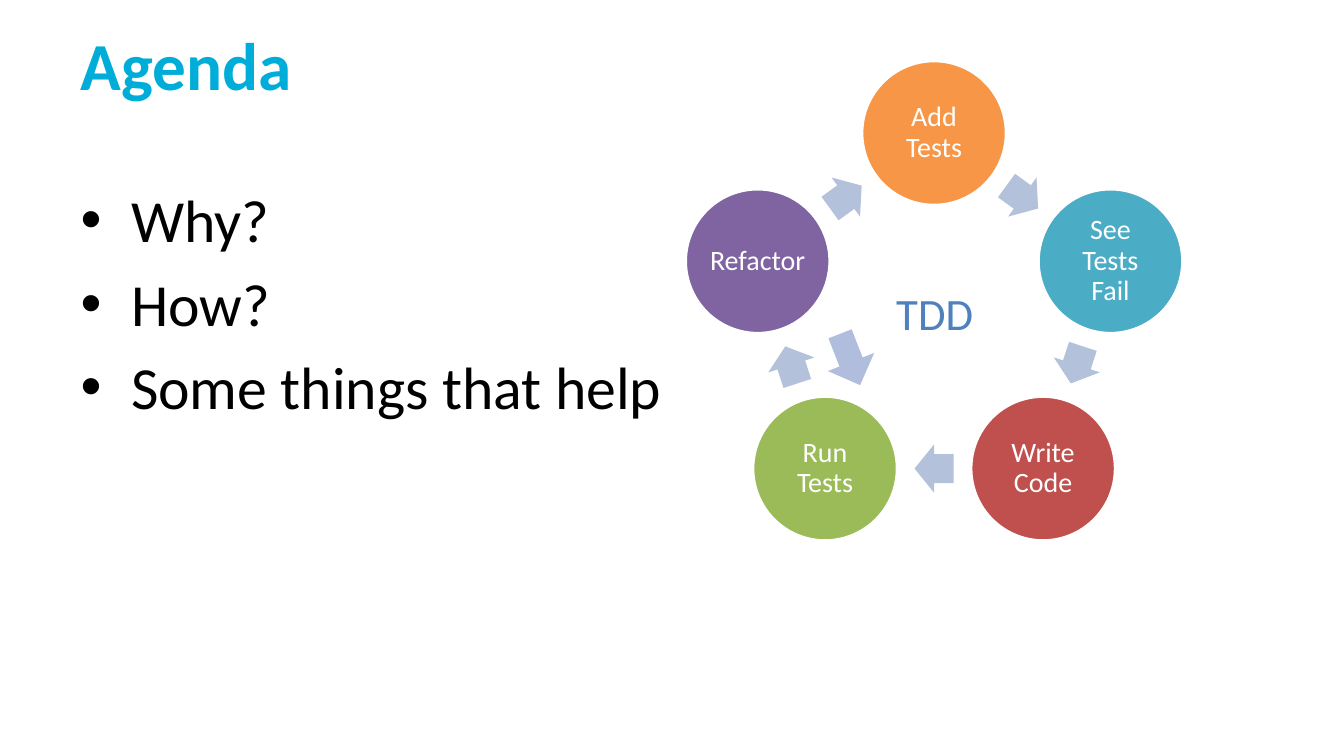
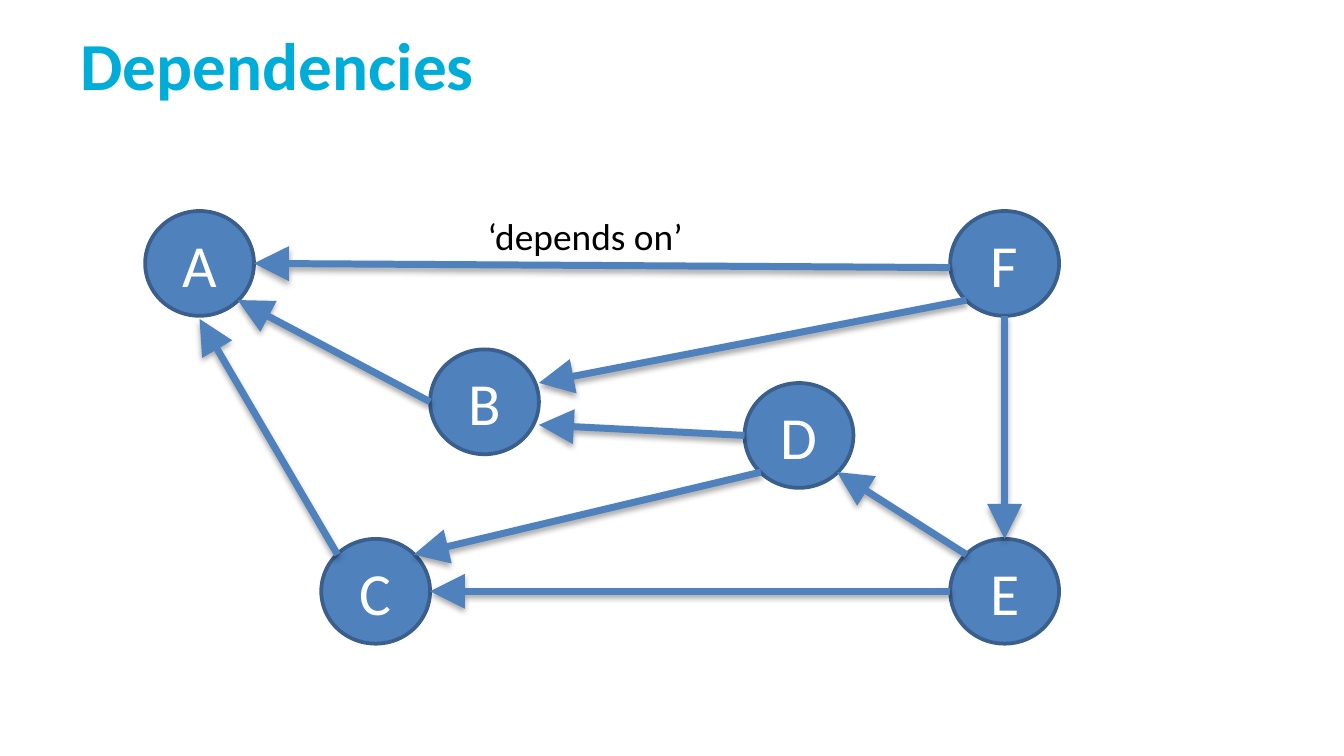
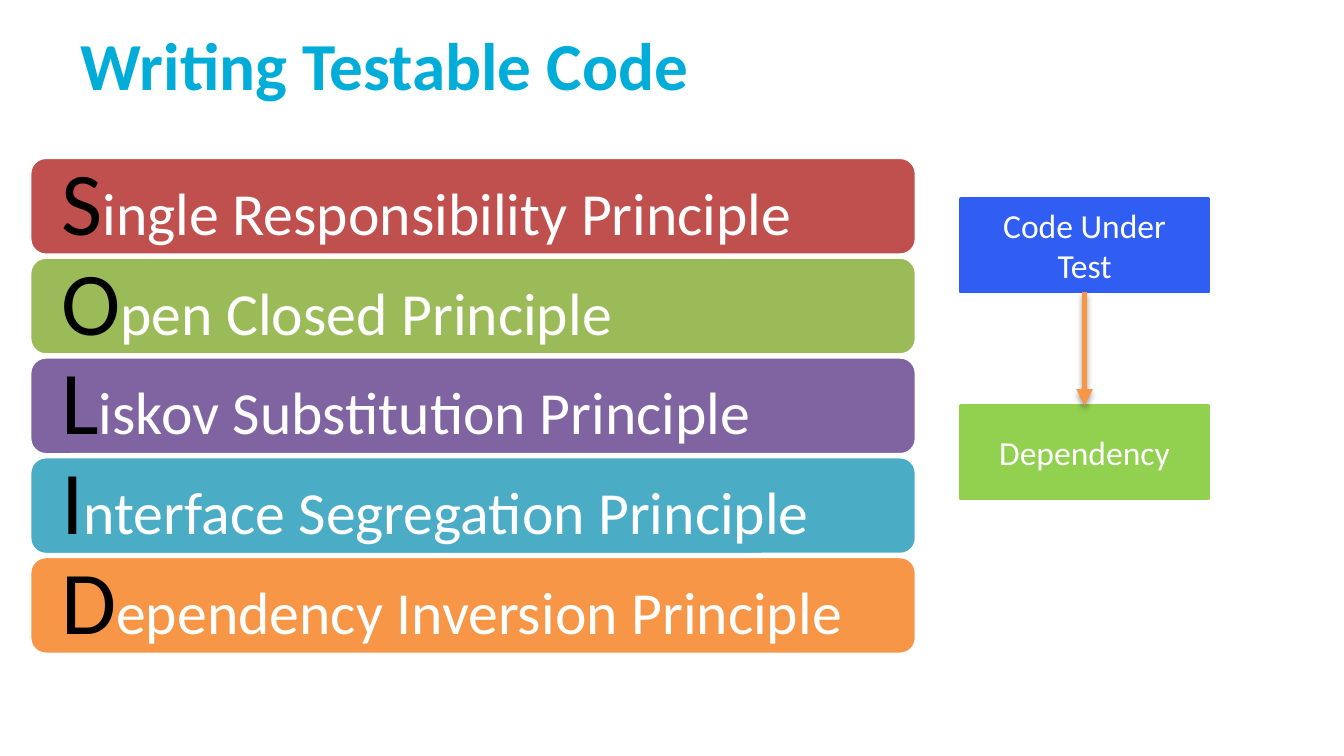
import math

import lxml.etree
import pptx
import pptx.dml.color
import pptx.enum.shapes
import pptx.enum.text
import pptx.oxml
import pptx.oxml.ns
import pptx.util

Inches = pptx.util.Inches
SHAPE = pptx.enum.shapes.MSO_SHAPE
ALIGN = pptx.enum.text.PP_ALIGN
MIDDLE = pptx.enum.text.MSO_ANCHOR.MIDDLE
STRAIGHT = pptx.enum.shapes.MSO_CONNECTOR.STRAIGHT

COLORS = {
    "title": "00ADD8", "black": "000000", "white": "FFFFFF",
    "blue": "4F81BD", "outline": "3A5F8C", "red": "C0504D",
    "green": "9BBB59", "purple": "8064A2", "teal": "4BACC6",
    "orange": "F79646", "cycle arrow": "B3C1DB", "inner arrow": "B0BDDD",
    "code": "305EF3", "dependency": "92D050",
}


def write(para, text, size, color, bold=False):
    """Add one formatted span to a paragraph."""
    span = para.add_run()
    span.text = text
    style = {"name": "Calibri", "size": pptx.util.Pt(size), "bold": bold}
    for name, value in style.items():
        setattr(span.font, name, value)
    span.font.color.rgb = pptx.dml.color.RGBColor.from_string(COLORS[color])


def draw(slide, kind, area, fill, line=None, inset=None):
    """Add a flat filled shape; the area is left, top, width, height."""
    shape = slide.shapes.add_shape(kind, *[Inches(length) for length in area])
    shape.shadow.inherit = False
    shape.fill.solid()
    shape.fill.fore_color.rgb = pptx.dml.color.RGBColor.from_string(COLORS[fill])
    if line:
        shape.line.color.rgb = pptx.dml.color.RGBColor.from_string(COLORS[line])
        shape.line.width = pptx.util.Pt(2)
    else:
        shape.line.fill.background()
    frame = shape.text_frame
    frame.word_wrap = True
    frame.vertical_anchor = MIDDLE
    frame.paragraphs[0].alignment = ALIGN.CENTER
    if inset is not None:
        for side in ("left", "top", "right", "bottom"):
            setattr(frame, "margin_" + side, Inches(inset))
    return shape


# Widescreen deck, 16:9
deck = pptx.Presentation()
deck.slide_width = Inches(10)
deck.slide_height = Inches(10) * 9 // 16

# Slides with their titles
slides = []
for title, layout in [("Agenda", 1), ("Dependencies", 5), ("Writing Testable Code", 5)]:
    slide = deck.slides.add_slide(deck.slide_layouts[layout])
    box = slide.shapes.title
    place = {"left": 0.5, "top": -0.01, "width": 9, "height": 0.97}
    for name, value in place.items():
        setattr(box, name, Inches(value))
    box.text_frame.vertical_anchor = MIDDLE
    para = box.text_frame.paragraphs[0]
    para.alignment = ALIGN.LEFT
    write(para, title, 36, "title", bold=True)
    slides.append(slide)
agenda, dependencies, principles = slides

# Agenda list
body = agenda.placeholders[1]
place = {"left": 0.5, "top": 1.31, "width": 9, "height": 3.71}
for name, value in place.items():
    setattr(body, name, Inches(value))
for index, text in enumerate(["Why?", "How?", "Some things that help"]):
    para = body.text_frame.add_paragraph() if index else body.text_frame.paragraphs[0]
    if index == 0:
        para.space_before = pptx.util.Pt(0)
    write(para, text, 32, "black")

# Test cycle: five steps on a ring, an arrow halfway between neighbours
steps = [("Add Tests", "orange"), ("See Tests Fail", "teal"), ("Write Code", "red"),
         ("Run Tests", "green"), ("Refactor", "purple")]
center_x, center_y, radius = 6.95, 2.37, 1.38
diameter, arrow_width, arrow_height = 1.08, 0.29, 0.36
turn = 360 / len(steps)
for index, (text, color) in enumerate(steps):
    angle = math.radians(index * turn)
    x = center_x + radius * math.sin(angle)
    y = center_y - radius * math.cos(angle)
    area = (x - diameter / 2, y - diameter / 2, diameter, diameter)
    circle = draw(agenda, SHAPE.OVAL, area, color, "white", 0.02)
    para = circle.text_frame.paragraphs[0]
    para.line_spacing = 0.9
    write(para, text, 15, "white")

    angle += math.radians(turn / 2)
    arrow_radius = radius * math.cos(math.radians(turn / 2))
    x = center_x + arrow_radius * math.sin(angle)
    y = center_y - arrow_radius * math.cos(angle)
    area = (x - arrow_width / 2, y - arrow_height / 2, arrow_width, arrow_height)
    arrow = draw(agenda, SHAPE.RIGHT_ARROW, area, "cycle arrow")
    arrow.adjustments[0] = 0.6
    arrow.rotation = (index + 0.5) * turn

arrow = draw(agenda, SHAPE.DOWN_ARROW, (6.14, 2.47, 0.37, 0.41), "inner arrow")
arrow.rotation = 338.7

# Free labels
for slide, text, area, size, color in [
    (agenda, "TDD", (6.57, 2.08, 0.78, 0.5), 24, "blue"),
    (dependencies, "‘depends on’", (3.53, 1.54, 1.67, 0.44), 20, "black"),
]:
    label = slide.shapes.add_textbox(*[Inches(length) for length in area])
    label.text_frame.word_wrap = False
    write(label.text_frame.paragraphs[0], text, size, color)

# Dependency graph nodes
node_width, node_height = 0.81, 0.78
nodes = {"A": (1.08, 1.57), "B": (3.2, 2.6), "C": (2.39, 4.01),
         "D": (5.54, 2.85), "E": (7.07, 4.01), "F": (7.07, 1.57)}
for name, corner in nodes.items():
    area = (*corner, node_width, node_height)
    node = draw(dependencies, SHAPE.OVAL, area, "blue", "outline")
    write(node.text_frame.paragraphs[0], name, 32, "white")

# Dependency arrows: ends are fractions of the node's width and height
edges = [
    ("B", (0, 0.5), "A", (0.85, 0.85)),
    ("C", (0.15, 0.15), "A", (0.5, 1.03)),
    ("F", (0, 0.54), "A", (1, 0.5)),
    ("F", (0.15, 0.85), "B", (1, 0.32)),
    ("D", (0.15, 0.85), "C", (0.85, 0.15)),
    ("E", (0, 0.5), "C", (1, 0.5)),
    ("E", (0.15, 0.15), "D", (0.85, 0.85)),
    ("F", (0.5, 1), "E", (0.5, 0)),
    ("D", (0, 0.5), "B", (1, 0.72)),
]
connectors = []
for source, source_spot, target, target_spot in edges:
    ends = []
    for name, spot in [(source, source_spot), (target, target_spot)]:
        ends.append(Inches(nodes[name][0] + spot[0] * node_width))
        ends.append(Inches(nodes[name][1] + spot[1] * node_height))
    line = dependencies.shapes.add_connector(STRAIGHT, *ends)
    connectors.append((line, "blue", 3.75, "lg"))

# Code under test and its dependency
boxes = []
for text, top, color in [("Code Under Test", 1.48, "code"),
                         ("Dependency", 3.02, "dependency")]:
    box = draw(principles, SHAPE.RECTANGLE, (7.15, top, 1.84, 0.69), color, color)
    write(box.text_frame.paragraphs[0], text, 18, "white")
    boxes.append(box)
line = principles.shapes.add_connector(STRAIGHT, 0, 0, 0, 0)
line.begin_connect(boxes[0], 2)
line.end_connect(boxes[1], 0)
connectors.append((line, "orange", 3, "med"))

# Arrowhead and soft shadow on every connector
shadow = (
    f'<a:effectLst {pptx.oxml.ns.nsdecls("a")}>'
    '<a:outerShdw blurRad="40000" dist="23000" dir="5400000" rotWithShape="0">'
    '<a:srgbClr val="000000"><a:alpha val="35000"/></a:srgbClr>'
    '</a:outerShdw></a:effectLst>'
)
for line, color, width, head in connectors:
    line.line.color.rgb = pptx.dml.color.RGBColor.from_string(COLORS[color])
    line.line.width = pptx.util.Pt(width)
    properties = line.element.spPr
    outline = properties.find(pptx.oxml.ns.qn("a:ln"))
    lxml.etree.SubElement(outline, pptx.oxml.ns.qn("a:tailEnd"),
                          type="triangle", w=head, len=head)
    properties.append(pptx.oxml.parse_xml(shadow))

# SOLID principles, evenly spaced from the first top to the last
bars = [("Single Responsibility Principle", "red"), ("Open Closed Principle", "green"),
        ("Liskov Substitution Principle", "purple"),
        ("Interface Segregation Principle", "teal"),
        ("Dependency Inversion Principle", "orange")]
first_top, last_top = 1.17, 4.14
pitch = (last_top - first_top) / (len(bars) - 1)
for index, (text, color) in enumerate(bars):
    area = (0.22, first_top + index * pitch, 6.6, 0.73)
    bar = draw(principles, SHAPE.ROUNDED_RECTANGLE, area, color, "white", 0.2)
    para = bar.text_frame.paragraphs[0]
    para.alignment = ALIGN.LEFT
    para.line_spacing = 0.9
    write(para, text[0], 48, "black")
    write(para, text[1:], 32, "white")

deck.save("out.pptx")
